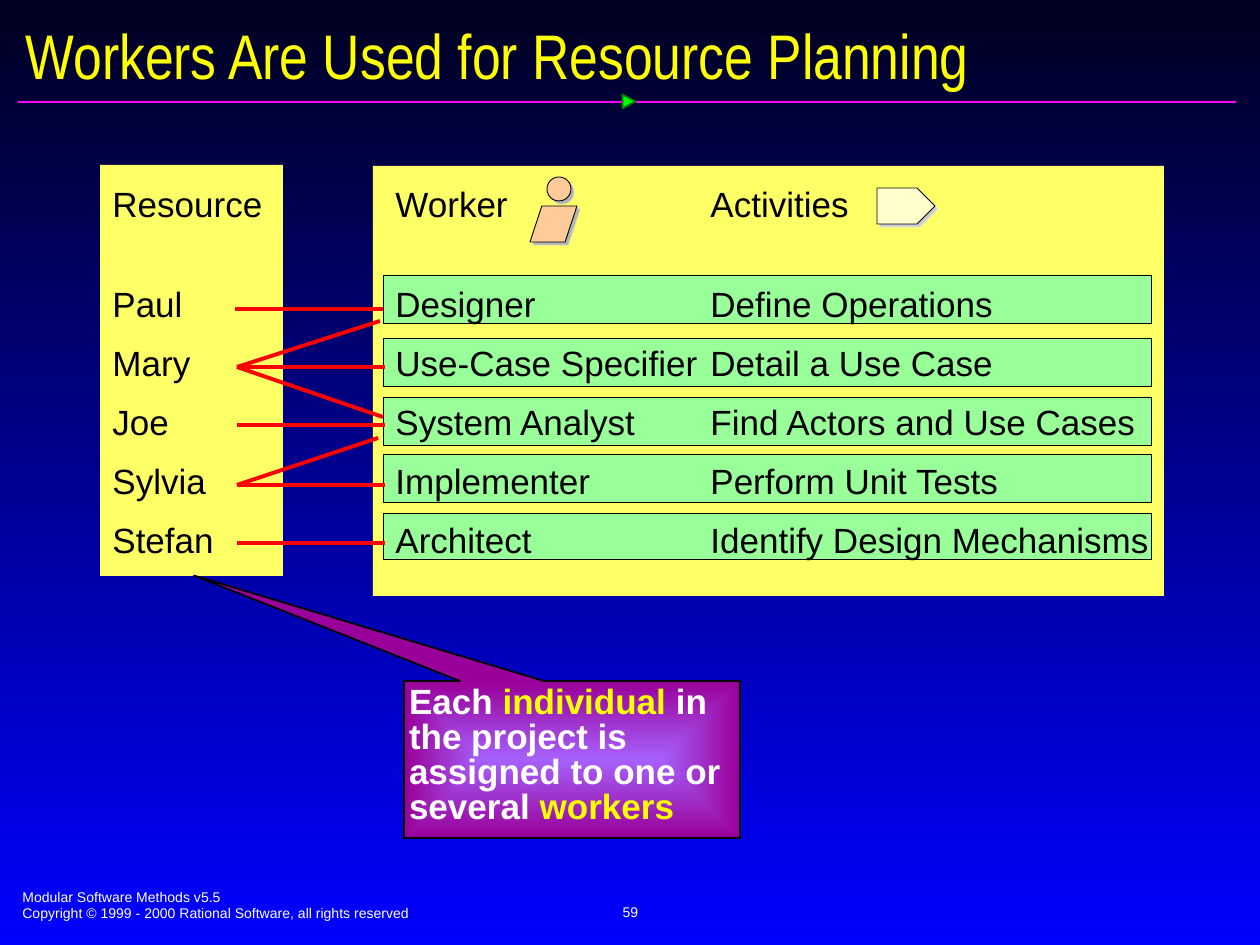
from dataclasses import dataclass

from lxml import etree
from pptx import Presentation
from pptx.dml.color import RGBColor
from pptx.enum.shapes import MSO_CONNECTOR, MSO_SHAPE
from pptx.enum.text import MSO_ANCHOR, MSO_AUTO_SIZE, PP_ALIGN
from pptx.oxml import parse_xml
from pptx.oxml.ns import nsdecls, qn
from pptx.util import Emu, Pt

RECTANGLE = MSO_SHAPE.RECTANGLE
ELLIPSE = MSO_SHAPE.OVAL
PARALLELOGRAM = MSO_SHAPE.PARALLELOGRAM
PENTAGON = MSO_SHAPE.PENTAGON
TRIANGLE = MSO_SHAPE.ISOSCELES_TRIANGLE
CALLOUT = MSO_SHAPE.RECTANGULAR_CALLOUT
STRAIGHT = MSO_CONNECTOR.STRAIGHT
TOP, MIDDLE = MSO_ANCHOR.TOP, MSO_ANCHOR.MIDDLE
LEFT, CENTER = PP_ALIGN.LEFT, PP_ALIGN.CENTER

BLACK = RGBColor(0x00, 0x00, 0x00)
WHITE = RGBColor(0xFF, 0xFF, 0xFF)
YELLOW = RGBColor(0xFF, 0xFF, 0x00)
NAVY = RGBColor(0x00, 0x00, 0x21)
BLUE = RGBColor(0x00, 0x00, 0xFF)
MAGENTA = RGBColor(0xFF, 0x01, 0xFF)
GREEN = RGBColor(0x00, 0xFF, 0x00)
DARK_GREEN = RGBColor(0x03, 0x7C, 0x03)
PANEL_YELLOW = RGBColor(0xFF, 0xFF, 0x66)
ROW_GREEN = RGBColor(0x99, 0xFF, 0x99)
RED = RGBColor(0xFF, 0x00, 0x00)
SKIN = RGBColor(0xFF, 0xCC, 0x99)
CREAM = RGBColor(0xFF, 0xFF, 0xCC)
GRAY = RGBColor(0xB2, 0xB2, 0xB2)
SILVER = RGBColor(0xCC, 0xCC, 0xCC)
PALE_GRAY = RGBColor(0xE5, 0xE5, 0xE5)
LILAC = RGBColor(0xA6, 0x60, 0xFA)
PURPLE = RGBColor(0x99, 0x00, 0x99)

EMU_PER_PX = 914400 / 126
HAIRLINE = 0.5


@dataclass(frozen=True)
class Box:
    left: int
    top: int
    width: int
    height: int

    def emu(self) -> list[Emu]:
        return [px(n) for n in (self.left, self.top, self.width, self.height)]

    def moved(self, distance: int) -> "Box":
        return Box(self.left + distance, self.top + distance, self.width, self.height)


@dataclass(frozen=True)
class Column:
    left: int
    width: int
    heading: str
    entries: tuple[str, ...]


@dataclass(frozen=True)
class Icon:
    kind: int
    box: Box
    fill: RGBColor
    shadow_fill: RGBColor
    shadow_line: RGBColor
    shadow_offset: int
    adjustment: float | None = None


COLUMNS = (
    Column(100, 185, "Resource", ("Paul", "Mary", "Joe", "Sylvia", "Stefan")),
    Column(383, 346, "Worker", ("Designer", "Use-Case Specifier", "System Analyst",
                                "Implementer", "Architect")),
    Column(698, 486, "Activities", ("Define Operations", "Detail a Use Case",
                                    "Find Actors and Use Cases", "Perform Unit Tests",
                                    "Identify Design Mechanisms")),
)
PANELS = (Box(100, 165, 183, 411), Box(373, 166, 791, 430))
ROWS = tuple(Box(383, top, 769, height) for top, height in
             ((275, 49), (338, 49), (397, 49), (454, 49), (513, 47)))
ICONS = (
    Icon(ELLIPSE, Box(547, 177, 24, 24), SKIN, GRAY, SILVER, 3),
    Icon(PARALLELOGRAM, Box(530, 206, 47, 36), SKIN, GRAY, SILVER, 3, 0.33),
    Icon(PENTAGON, Box(877, 188, 58, 36), CREAM, SILVER, PALE_GRAY, 3, 0.5),
)
# Start and end of each link from a person to a worker row
LINKS = (
    (235, 309, 383, 309), (237, 367, 385, 367), (237, 425, 385, 425),
    (237, 485, 385, 485), (237, 543, 385, 543),
    (237, 367, 380, 321), (237, 367, 383, 417), (237, 485, 378, 438),
)


def px(length: int) -> Emu:
    return Emu(round(length * EMU_PER_PX))


def add_run(paragraph, text: str, size: int, color: RGBColor,
            font: str = "Arial", bold: bool = False) -> None:
    run = paragraph.add_run()
    run.text = text
    run.font.name, run.font.size, run.font.bold = font, Pt(size), bold
    run.font.color.rgb = color


def add_shape(slide, kind: int, box: Box, fill: RGBColor,
              line: RGBColor | None = None, width: float = HAIRLINE):
    shape = slide.shapes.add_shape(kind, *box.emu())
    shape.shadow.inherit = False
    shape.fill.solid()
    shape.fill.fore_color.rgb = fill
    if line is None:
        shape.line.fill.background()
    else:
        shape.line.color.rgb = line
        shape.line.width = Pt(width)
    return shape


def add_line(slide, ends: tuple[int, ...], color: RGBColor, width: float) -> None:
    connector = slide.shapes.add_connector(STRAIGHT, *map(px, ends))
    connector.line.color.rgb = color
    connector.line.width = Pt(width)
    etree.SubElement(connector._element.spPr, qn("a:effectLst"))


def add_text(slide, box: Box, lines: tuple[str, ...], size: int, color: RGBColor,
             align=LEFT, anchor=TOP) -> list:
    frame = slide.shapes.add_textbox(*box.emu()).text_frame
    frame.word_wrap = True
    frame.vertical_anchor = anchor
    for index, line in enumerate(lines):
        paragraph = frame.add_paragraph() if index else frame.paragraphs[0]
        paragraph.alignment = align
        add_run(paragraph, line, size, color)
    return list(frame.paragraphs)


def add_column(slide, column: Column) -> None:
    box = Box(column.left, 176, column.width, 391)
    entries = add_text(slide, box, (column.heading, *column.entries), 20, BLACK)[1:]
    for paragraph in entries:
        paragraph.line_spacing = 1.4
    entries[0].space_before = Pt(24)


def add_icon(slide, icon: Icon) -> None:
    layers = ((icon.box.moved(icon.shadow_offset), icon.shadow_fill, icon.shadow_line),
              (icon.box, icon.fill, BLACK))
    for box, fill, line in layers:
        shape = add_shape(slide, icon.kind, box, fill, line)
        if icon.adjustment is not None:
            shape.adjustments[0] = icon.adjustment


def set_gradient(fill, first: RGBColor, last: RGBColor) -> None:
    fill.gradient()
    fill.gradient_angle = 270
    for stop, color, position in zip(fill.gradient_stops, (first, last), (0, 1)):
        stop.color.rgb = color
        stop.position = position


def add_callout(slide) -> None:
    shape = add_shape(slide, CALLOUT, Box(404, 681, 336, 157), PURPLE, BLACK, 1)
    shape.adjustments[0], shape.adjustments[1] = -1.125, -1.172
    set_gradient(shape.fill, LILAC, PURPLE)
    # Let the gradient spread from the centre
    linear = shape._element.spPr.find(qn("a:gradFill")).find(qn("a:lin"))
    linear.getparent().replace(linear, parse_xml(
        f'<a:path {nsdecls("a")} path="rect"><a:fillToRect l="50000" t="50000" '
        'r="50000" b="50000"/></a:path>'))
    frame = shape.text_frame
    frame.word_wrap = True
    frame.vertical_anchor = TOP
    frame.margin_left = frame.margin_right = frame.margin_top = frame.margin_bottom = px(5)
    paragraph = frame.paragraphs[0]
    paragraph.alignment = LEFT
    paragraph.line_spacing = Pt(20)
    for text, color in (("Each ", WHITE), ("individual", YELLOW),
                        (" in the project is assigned to one or several ", WHITE),
                        ("workers", YELLOW)):
        add_run(paragraph, text, 20, color, bold=True)


def main() -> None:
    presentation = Presentation()
    presentation.slide_width, presentation.slide_height = px(1260), px(945)
    slide = presentation.slides.add_slide(presentation.slide_layouts[5])
    set_gradient(slide.background.fill, NAVY, BLUE)

    # Title and divider
    title = slide.shapes.title
    title.left, title.top, title.width, title.height = Box(13, 18, 1240, 73).emu()
    title.text_frame.auto_size = MSO_AUTO_SIZE.NONE
    title.text_frame.vertical_anchor = MIDDLE
    heading = title.text_frame.paragraphs[0]
    heading.alignment = LEFT
    add_run(heading, "Workers Are Used for Resource Planning", 36, YELLOW, "Arial Narrow")
    add_line(slide, (18, 102, 1236, 102), MAGENTA, 1)
    add_shape(slide, TRIANGLE, Box(622, 95, 14, 13), GREEN, DARK_GREEN, 1).rotation = 90

    # Panels, icons and worker rows
    for panel in PANELS:
        add_shape(slide, RECTANGLE, panel, PANEL_YELLOW)
    for icon in ICONS:
        add_icon(slide, icon)
    for row in ROWS:
        add_shape(slide, RECTANGLE, row, ROW_GREEN, BLACK)

    # Assignments, callout and column texts
    for link in LINKS:
        add_line(slide, link, RED, 2.25)
    add_callout(slide)
    for column in COLUMNS:
        add_column(slide, column)

    # Footer
    add_text(slide, Box(10, 882, 643, 47),
             ("Modular Software Methods v5.5",
              "Copyright © 1999 - 2000 Rational Software, all rights reserved"), 8, WHITE)
    add_text(slide, Box(431, 880, 399, 63), ("59",), 8, WHITE, CENTER, MIDDLE)
    presentation.save("out.pptx")


if __name__ == "__main__":
    main()
